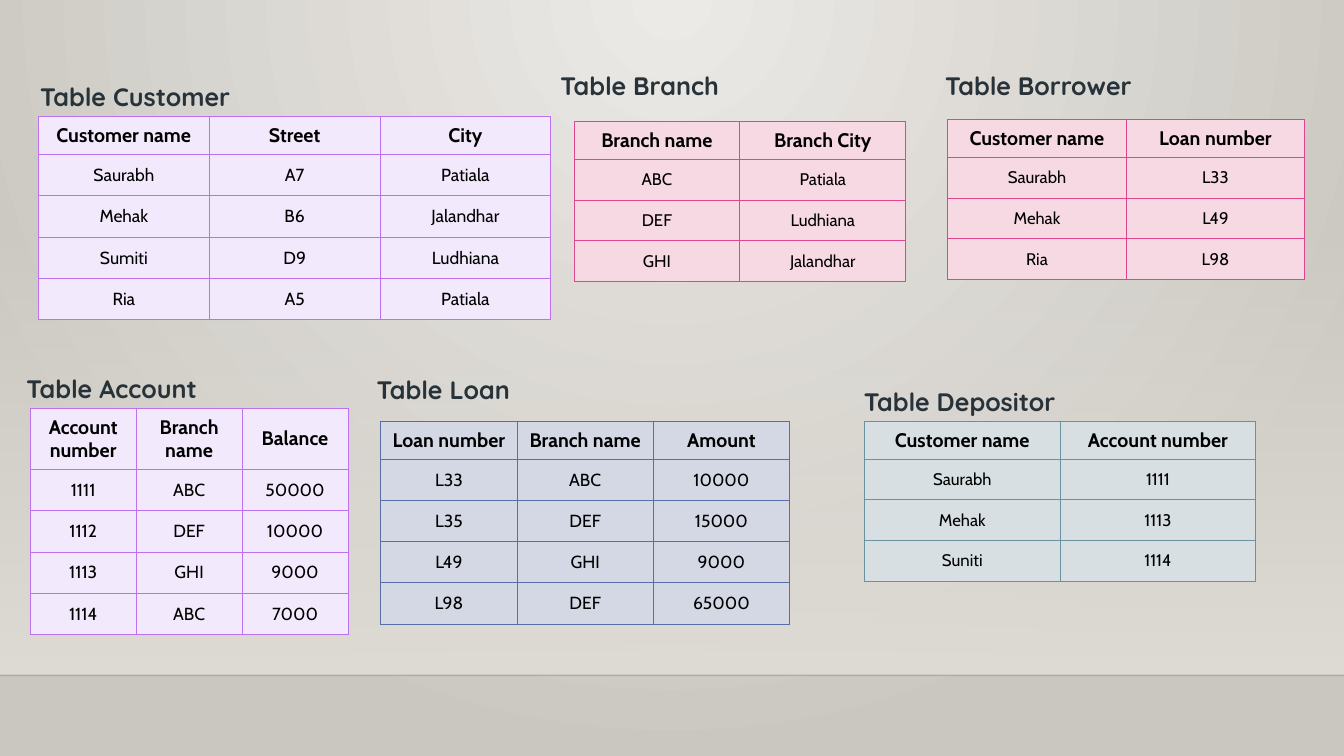
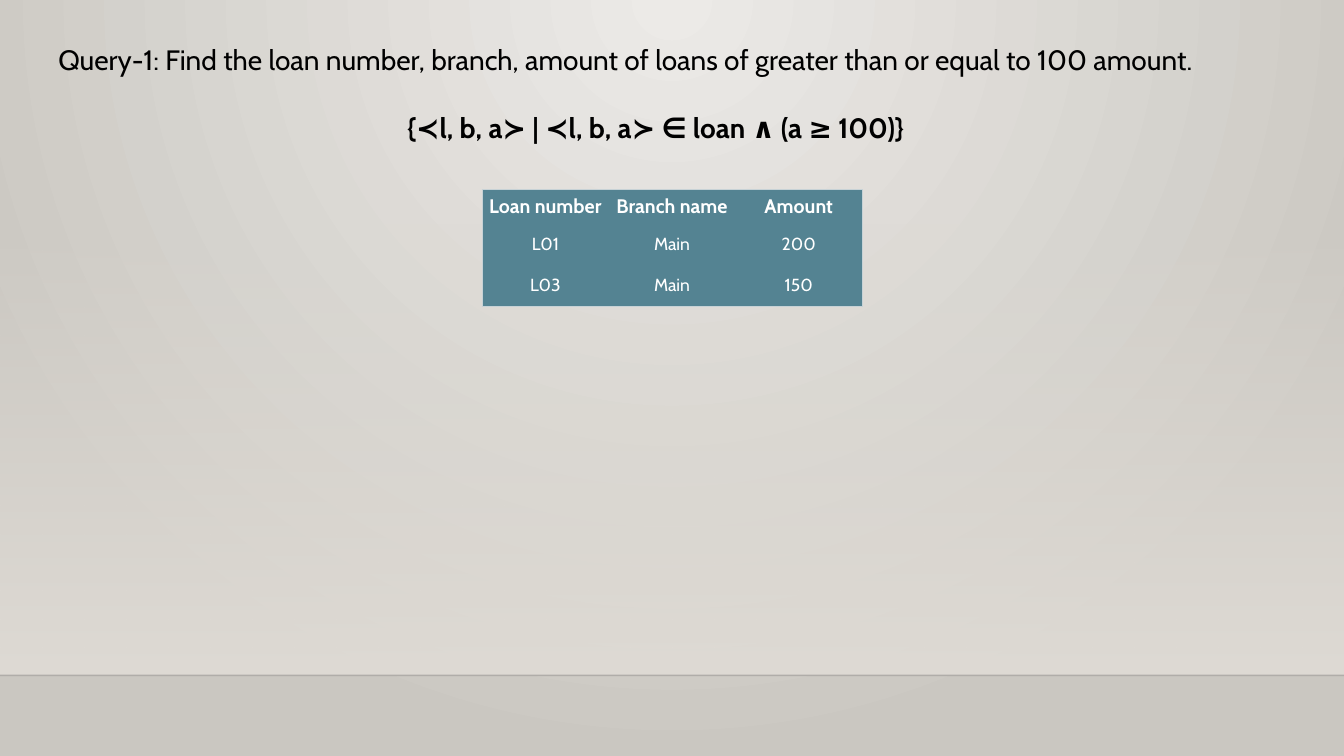
from dataclasses import dataclass

from pptx import Presentation
from pptx.dml.color import RGBColor
from pptx.enum.shapes import MSO_CONNECTOR, MSO_SHAPE
from pptx.enum.text import MSO_ANCHOR, MSO_AUTO_SIZE, PP_ALIGN
from pptx.oxml import parse_xml
from pptx.oxml.ns import nsdecls
from pptx.util import Pt

LEFT, MID = PP_ALIGN.LEFT, PP_ALIGN.CENTER
TOP, HALF = MSO_ANCHOR.TOP, MSO_ANCHOR.MIDDLE
FIXED = MSO_AUTO_SIZE.NONE
RECT, LINE = MSO_SHAPE.RECTANGLE, MSO_CONNECTOR.STRAIGHT
WIDE, HIGH = 960, 540
BARE, TITLED = 6, 5


@dataclass(frozen=True)
class Theme:
    """Colours, fonts and type sizes."""
    body: str = "Cabin"
    head: str = "Quicksand"
    ink: str = "000000"
    slate: str = "273239"
    white: str = "FFFFFF"
    glow: str = "ECEAE7"
    edge: str = "CAC7C1"
    haze: str = "DFDBD5"
    rule: str = "000001"
    violet: tuple = ("F3E9FD", "BC72F0")
    pink: tuple = ("F6D9E3", "DE478E")
    blue: tuple = ("D4D8E4", "586EA6")
    teal: tuple = ("D7DFE2", "6892A0")
    deep: tuple = ("548392", "C7D2D6")
    query: float = 20
    label: float = 18
    top: float = 14
    cell: float = 12.5
    small: float = 12


def put(item, **vals):
    """Set each named value on an object."""
    for name, val in vals.items():
        setattr(item, name, val)


def node(text):
    """Parse a drawing element given as text."""
    tag, rest = text[1:].split(" ", 1)
    return parse_xml(f"<{tag} {nsdecls('a')} {rest}")


def grad(first, last, alpha, way):
    """Make a gradient from two colours."""
    return node(
        f'<a:gradFill rotWithShape="1"><a:gsLst><a:gs pos="0"><a:srgbClr val="{first}">'
        f'<a:alpha val="{alpha}"/></a:srgbClr></a:gs><a:gs pos="100000">'
        f'<a:srgbClr val="{last}"/></a:gs></a:gsLst>{way}</a:gradFill>')


def edge(side, tint):
    """Make one cell border, blank when there is no tint."""
    fill = f'<a:solidFill><a:srgbClr val="{tint}"/></a:solidFill>' if tint else "<a:noFill/>"
    return node(f'<a:ln{side} w="{Pt(0.75)}">{fill}</a:ln{side}>')


class Deck:
    """Holds the style and the current slide."""

    def __init__(self, look):
        """Start an empty deck."""
        self.look = look
        self.show = Presentation()
        put(self.show, slide_width=Pt(WIDE), slide_height=Pt(HIGH))
        self.page = None

    def slide(self, kind):
        """Add a slide and make it current."""
        self.page = self.show.slides.add_slide(self.show.slide_layouts[kind])

    def stage(self):
        """Move the shared backdrop to the master."""
        look, base = self.look, self.show.slide_master
        base.background.fill.solid()
        back = base.element.xpath(".//p:bgPr")[0]
        back.replace(back[0], grad(
            look.glow, look.edge, 100000,
            '<a:path path="circle"><a:fillToRect l="43000" r="43000" b="100000"/></a:path>'))

        floor = 482.4
        band = self.page.shapes.add_shape(RECT, 0, Pt(159), Pt(WIDE), Pt(floor - 159))
        band.shadow.inherit = False
        band.line.fill.background()
        band.fill.solid()
        old = band.element.spPr.xpath("a:solidFill")[0]
        band.element.spPr.replace(
            old, grad(look.haze, look.haze, 0, '<a:lin ang="5400000" scaled="0"/>'))

        rule = self.page.shapes.add_connector(LINE, 0, Pt(floor), Pt(WIDE), Pt(floor))
        rule.line.width = Pt(1)
        rule.line.color.rgb = RGBColor.from_string(look.rule)
        rule.element.spPr.xpath(".//a:srgbClr")[0].append(node('<a:alpha val="20000"/>'))
        rule.element.spPr.append(node("<a:effectLst />"))

        tree = base.element.cSld.spTree
        for step, part in enumerate((band, rule)):
            part.element.xpath(".//p:cNvPr")[0].set("id", str(101 + step))
            tree.insert(2 + step, part.element)

    def type(self, frame, text, size, align=LEFT, tint=None, **font):
        """Fill a text frame with one styled paragraph."""
        para = frame.paragraphs[0]
        para.text, para.alignment = text, align
        put(para.font, **{"name": self.look.body, "size": Pt(size), **font})
        para.font.color.rgb = RGBColor.from_string(tint or self.look.ink)

    def title(self, text, x, y, w, h):
        """Place and fill the title."""
        head = self.page.shapes.title
        put(head, left=Pt(x), top=Pt(y), width=Pt(w), height=Pt(h))
        put(head.text_frame, auto_size=FIXED, vertical_anchor=TOP, word_wrap=True)
        self.type(head.text_frame, text, self.look.query, bold=False)

    def text(self, text, x, y, w, h, size, **form):
        """Add a text box."""
        box = self.page.shapes.add_textbox(Pt(x), Pt(y), Pt(w), Pt(h))
        box.text_frame.word_wrap = True
        self.type(box.text_frame, text, size, **form)

    def label(self, text, x, y):
        """Add a table heading."""
        look = self.look
        self.text(text, x, y, 220, 29, look.label, tint=look.slate, name=look.head, bold=True)

    def table(self, rows, x, y, w, tone, size, head=27, pad=5, tint=None, grid=True):
        """Add a table with equal columns."""
        cells = [row.split("|") for row in rows]
        tall, cols, step = len(cells), len(cells[0]), 29
        frame = self.page.shapes.add_table(
            tall, cols, Pt(x), Pt(y), Pt(w), Pt(head + step * (tall - 1)))
        sheet = frame.table
        for col in sheet.columns:
            col.width = Pt(w / cols)
        for r, row in enumerate(cells):
            sheet.rows[r].height = Pt(step if r else head)
            gap, side = (7.2, 5) if r else (pad, 4)
            for c, text in enumerate(row):
                cell = sheet.cell(r, c)
                put(cell, vertical_anchor=HALF, margin_top=Pt(gap), margin_bottom=Pt(gap),
                    margin_left=Pt(side), margin_right=Pt(side))
                cell.fill.solid()
                cell.fill.fore_color.rgb = RGBColor.from_string(tone[0])
                self.type(cell.text_frame, text, size if r else self.look.top,
                          MID, tint, bold=not r)
        for n, prop in enumerate(frame.element.xpath(".//a:tcPr")):
            r, c = divmod(n, cols)
            outer = {"L": c == 0, "R": c == cols - 1, "T": r == 0, "B": r == tall - 1}
            for at, (side, out) in enumerate(outer.items()):
                prop.insert(at, edge(side, tone[1] if grid or out else None))


def main():
    """Build both slides."""
    look = Theme()
    deck = Deck(look)

    deck.slide(BARE)
    deck.stage()
    tables = [
        ("Table Customer", (21.6, 54.7), (27.5, 83.3, 366), look.violet, look.cell, 27,
         ["Customer name|Street|City", "Saurabh|A7|Patiala", "Mehak|B6|Jalandhar",
          "Sumiti|D9|Ludhiana", "Ria|A5|Patiala"]),
        ("Table Branch", (393.2, 46.8), (410, 87, 237), look.pink, look.small, 27,
         ["Branch name|Branch City", "ABC|Patiala", "DEF|Ludhiana", "GHI|Jalandhar"]),
        ("Table Account", (11.8, 262.8), (21.6, 291.5, 227), look.violet, look.cell, 44,
         ["Account number|Branch name|Balance", "1111|ABC|50000", "1112|DEF|10000",
          "1113|GHI|9000", "1114|ABC|7000"]),
        ("Table Loan", (262, 263.8), (272, 301, 292), look.blue, look.cell, 27,
         ["Loan number|Branch name|Amount", "L33|ABC|10000", "L35|DEF|15000",
          "L49|GHI|9000", "L98|DEF|65000"]),
        ("Table Borrower", (668, 46.8), (677, 85.5, 255), look.pink, look.small, 27,
         ["Customer name|Loan number", "Saurabh|L33", "Mehak|L49", "Ria|L98"]),
        ("Table Depositor", (610, 272.4), (617.5, 301, 279.5), look.teal, look.small, 27,
         ["Customer name|Account number", "Saurabh|1111", "Mehak|1113", "Suniti|1114"]),
    ]
    for name, spot, area, tone, size, head, rows in tables:
        deck.table(rows, *area, tone, size, head)
        deck.label(name, *spot)

    deck.slide(TITLED)
    deck.title("Query-1: Find the loan number, branch, amount of loans of greater than "
               "or equal to 100 amount.", 34.4, 26.6, 868, 32)
    deck.text("{≺l, b, a≻ | ≺l, b, a≻ ∈ loan ∧ (a ≥ 100)}", 34.4, 75.2, 868, 32,
              look.query, align=MID, bold=True)
    deck.table(["Loan number|Branch name|Amount", "L01|Main|200", "L03|Main|150"],
               344.3, 135.6, 271.5, look.deep, look.cell, head=24.3, pad=3.6,
               tint=look.white, grid=False)

    deck.show.save("out.pptx")


if __name__ == "__main__":
    main()
